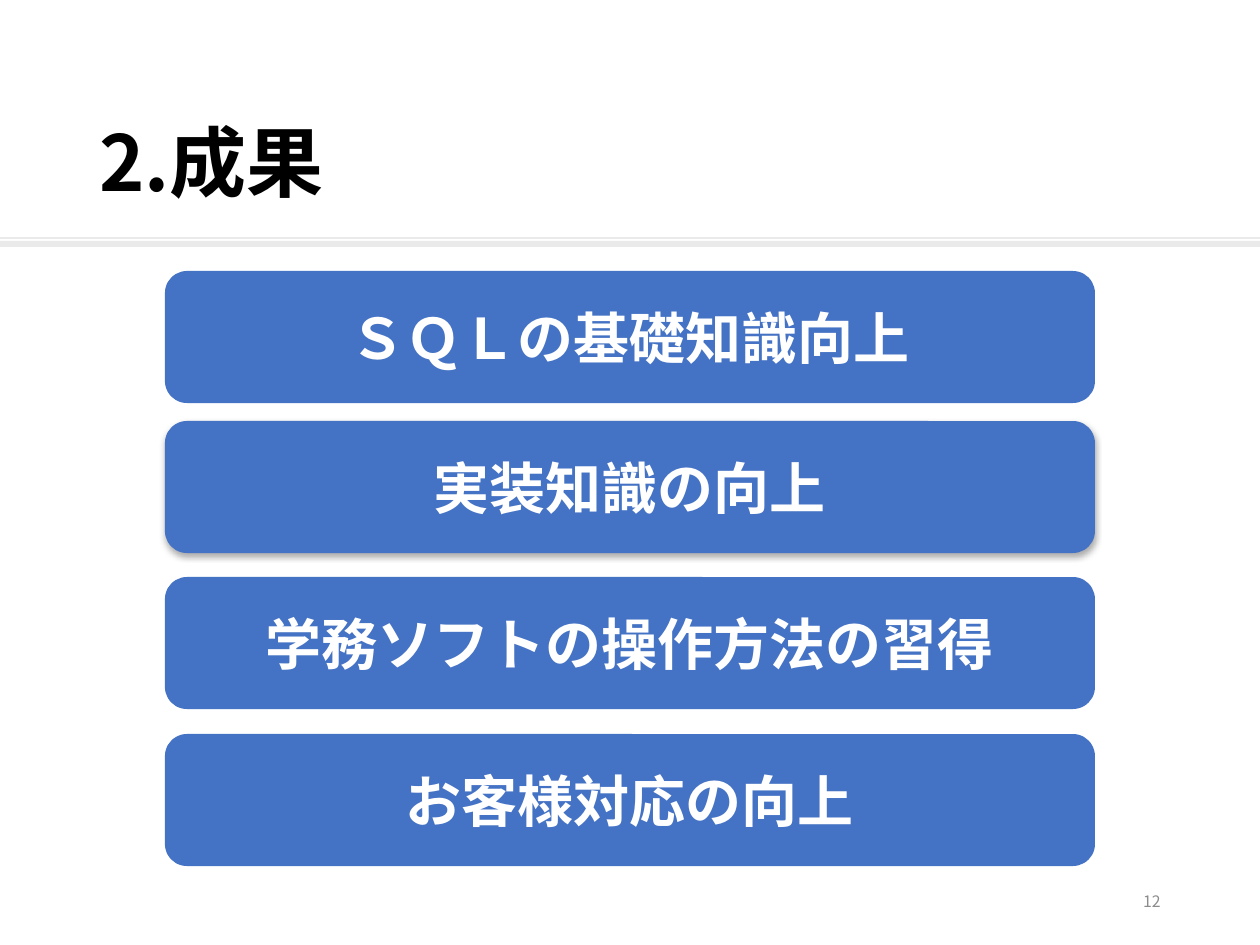
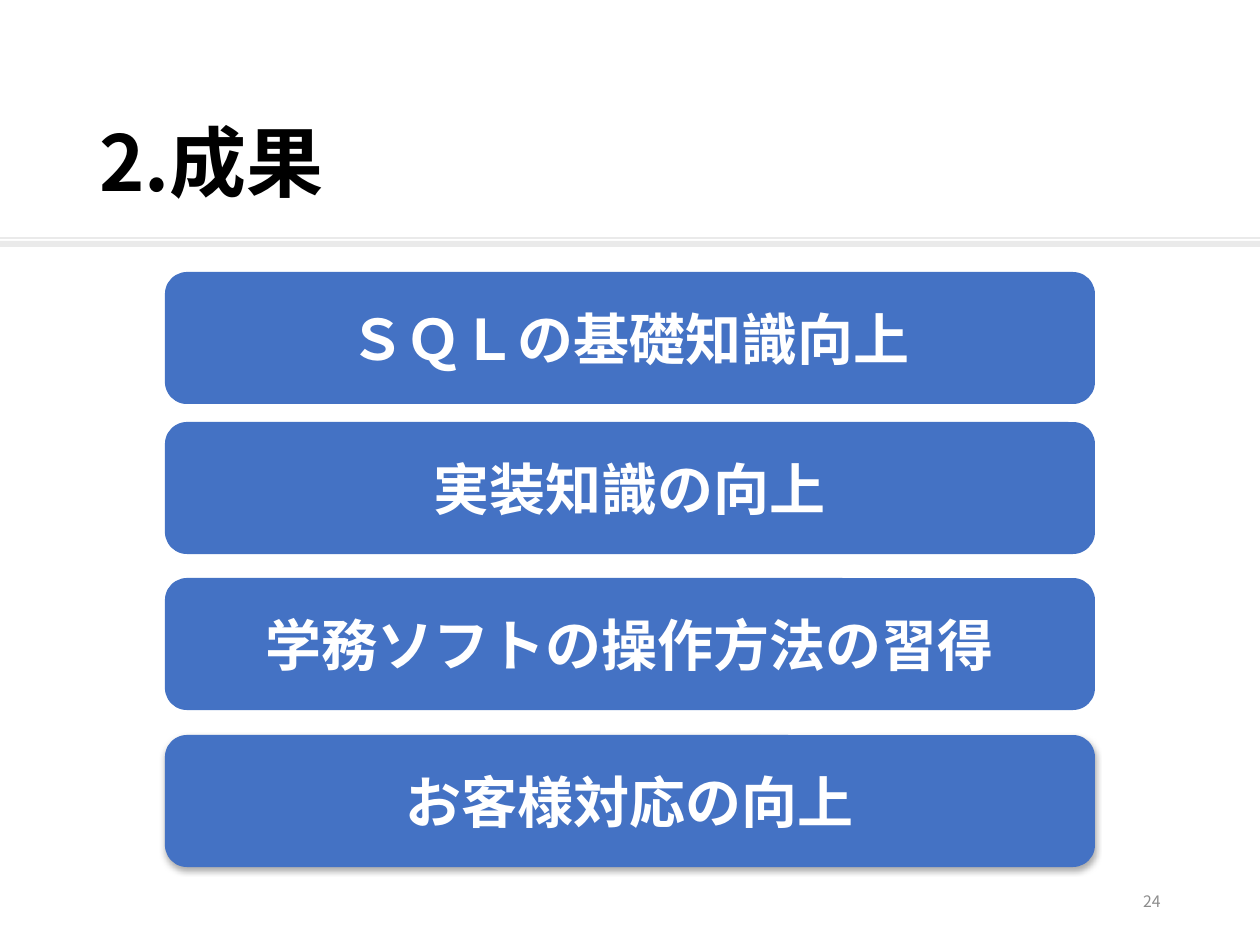
from dataclasses import dataclass

from lxml import etree
from pptx import Presentation
from pptx.dml.color import RGBColor
from pptx.enum.shapes import MSO_CONNECTOR, MSO_SHAPE
from pptx.enum.text import MSO_ANCHOR, PP_ALIGN
from pptx.oxml.ns import qn
from pptx.util import Pt

LEFT, CENTER, RIGHT = PP_ALIGN.LEFT, PP_ALIGN.CENTER, PP_ALIGN.RIGHT
MIDDLE = MSO_ANCHOR.MIDDLE
RECTANGLE, ROUNDED = MSO_SHAPE.RECTANGLE, MSO_SHAPE.ROUNDED_RECTANGLE
STRAIGHT = MSO_CONNECTOR.STRAIGHT

PX_PER_INCH = 126
SLIDE_WIDTH, SLIDE_HEIGHT = 1260, 945


@dataclass(frozen=True)
class Theme:
    font: str = "Noto Sans CJK JP"
    title: str = "000000"
    rule: str = "EAEAEA"
    number: str = "8C8C8C"
    card: str = "4472C4"
    card_text: str = "FFFFFF"
    shadow: str = "000000"
    title_size: int = 44
    card_size: int = 32
    number_size: int = 9


THEME = Theme()

TITLE_BOX = (87, 100, 1086, 134)
RULE_BOX = (0, 238, SLIDE_WIDTH, 9)
NUMBER_BOX = (890, 876, 283, 50)
CARD_HEIGHT = 132
CARD_OFFSETS = (0, 150, 306, 463)
RESULTS = (
    "ＳＱＬの基礎知識向上",
    "実装知識の向上",
    "学務ソフトの操作方法の習得",
    "お客様対応の向上",
)


def px(length):
    return round(length * 914400 / PX_PER_INCH)


def rgb(value):
    return RGBColor.from_string(value)


def write(shape, text, *, size, color, bold=False, align=LEFT, spacing=None):
    frame = shape.text_frame
    frame.word_wrap = True
    frame.vertical_anchor = MIDDLE
    paragraph = frame.paragraphs[0]
    paragraph.alignment = align
    if spacing:
        paragraph.line_spacing = spacing
    run = paragraph.add_run()
    run.text = text
    font = run.font
    font.name, font.size, font.bold = THEME.font, Pt(size), bold
    font.color.rgb = rgb(color)
    east_asian = etree.SubElement(run._r.get_or_add_rPr(), qn("a:ea"))
    east_asian.set("typeface", THEME.font)


def add_text(slide, box, text, **style):
    write(slide.shapes.add_textbox(*map(px, box)), text, **style)


def add_filled(slide, kind, box, color):
    shape = slide.shapes.add_shape(kind, *map(px, box))
    shape.shadow.inherit = False
    shape.fill.solid()
    shape.fill.fore_color.rgb = rgb(color)
    shape.line.fill.background()
    return shape


def add_shadow(shape):
    effects = shape._element.spPr.find(qn("a:effectLst"))
    outer = etree.SubElement(
        effects, qn("a:outerShdw"), blurRad=str(Pt(3.5)), dist=str(Pt(2.2)),
        dir="5400000", algn="t", rotWithShape="0")
    color = etree.SubElement(outer, qn("a:srgbClr"), val=THEME.shadow)
    etree.SubElement(color, qn("a:alpha"), val="32000")


def add_title_rule(slide, box):
    """Draw a hairline at the top of the box and a thicker band below it."""
    left, top, width, height = box
    hairline = slide.shapes.add_connector(
        STRAIGHT, px(left), px(top), px(left + width), px(top))
    hairline.line.color.rgb = rgb(THEME.rule)
    hairline.line.width = Pt(0.75)
    etree.SubElement(hairline._element.spPr, qn("a:effectLst"))
    add_filled(slide, RECTANGLE, (left, top + 3, width, height - 3), THEME.rule)


def add_result_cards(slide, left, top, width, highlighted):
    for index, (offset, result) in enumerate(zip(CARD_OFFSETS, RESULTS)):
        card = add_filled(slide, ROUNDED, (left, top + offset, width, CARD_HEIGHT),
                          THEME.card)
        if index == highlighted:
            add_shadow(card)
        write(card, result, size=THEME.card_size, color=THEME.card_text,
              bold=True, align=CENTER)


def add_results_slide(presentation, number, cards_top, highlighted):
    slide = presentation.slides.add_slide(presentation.slide_layouts[6])
    add_title_rule(slide, RULE_BOX)
    add_text(slide, TITLE_BOX, "2.成果", size=THEME.title_size,
             color=THEME.title, bold=True, spacing=0.9)
    add_text(slide, NUMBER_BOX, str(number), size=THEME.number_size,
             color=THEME.number, align=RIGHT)
    add_result_cards(slide, 165, cards_top, 930, highlighted)


def main():
    presentation = Presentation()
    presentation.slide_width = px(SLIDE_WIDTH)
    presentation.slide_height = px(SLIDE_HEIGHT)
    add_results_slide(presentation, number=12, cards_top=271, highlighted=1)
    add_results_slide(presentation, number=24, cards_top=272, highlighted=3)
    presentation.save("out.pptx")


if __name__ == "__main__":
    main()
